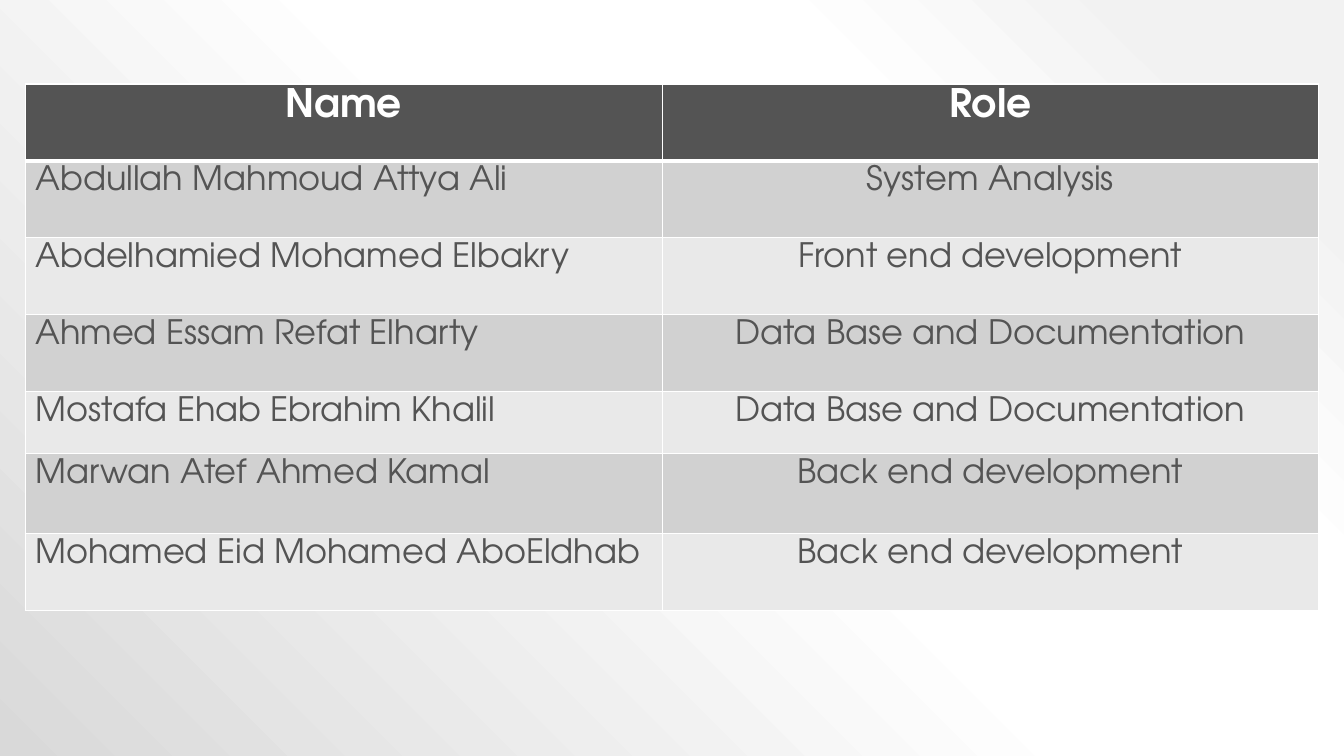
import dataclasses

import lxml.etree
import pptx
import pptx.dml.color
import pptx.enum.text
import pptx.oxml
import pptx.util

Pt = pptx.util.Pt
RGB = pptx.dml.color.RGBColor.from_string
ALIGN = pptx.enum.text.PP_ALIGN
NS = "http://schemas.openxmlformats.org/drawingml/2006/main"


@dataclasses.dataclass(frozen=True)
class Theme:
    font: str = "TeX Gyre Adventor"
    dark: str = "545454"
    light: str = "FFFFFF"
    bands: tuple = ("D1D1D1", "E9E9E9")
    header_size: int = 28
    body_size: int = 24
    thin: int = 1
    thick: int = 3
    backdrop: tuple = ((10, "F2F2F2"), (28, "FFFFFF"), (48, "FFFFFF"), (100, "D9D9D9"))


THEME = Theme()
TEAM = [
    ("Name", "Role"),
    ("Abdullah Mahmoud Attya Ali", "System Analysis"),
    ("Abdelhamied Mohamed Elbakry", "Front end development"),
    ("Ahmed Essam Refat Elharty", "Data Base and Documentation"),
    ("Mostafa Ehab Ebrahim Khalil", "Data Base and Documentation"),
    ("Marwan Atef Ahmed Kamal", "Back end development"),
    ("Mohamed Eid Mohamed AboEldhab", "Back end development"),
]
COLUMN_WIDTHS = (455, 468.8)
ROW_HEIGHTS = (54.9, 54.9, 54.9, 54.9, 44.5, 57, 54.9)


def paint_background(s):
    """Radial gradient centred on the top right corner."""
    fill = s.background.fill
    fill.gradient()
    grad = s._element.find(f".//{{{NS}}}gradFill")
    stops = "".join(
        f'<a:gs pos="{pos * 1000}"><a:srgbClr val="{color}"/></a:gs>'
        for pos, color in THEME.backdrop
    )
    radial = pptx.oxml.parse_xml(
        f'<a:gradFill xmlns:a="{NS}" rotWithShape="1"><a:gsLst>{stops}</a:gsLst>'
        '<a:path path="circle"><a:fillToRect l="100000" b="100000"/></a:path>'
        "</a:gradFill>"
    )
    grad.getparent().replace(grad, radial)


def set_borders(cell, top, bottom):
    tc_pr = cell._tc.get_or_add_tcPr()
    widths = {"lnL": THEME.thin, "lnR": THEME.thin, "lnT": top, "lnB": bottom}
    for side, width in widths.items():
        ln = lxml.etree.SubElement(tc_pr, f"{{{NS}}}{side}", w=str(Pt(width)))
        solid = lxml.etree.SubElement(ln, f"{{{NS}}}solidFill")
        lxml.etree.SubElement(solid, f"{{{NS}}}srgbClr", val=THEME.light)


def fill_cell(cell, text, is_header, color, align):
    cell.fill.solid()
    cell.fill.fore_color.rgb = RGB(color)
    p = cell.text_frame.paragraphs[0]
    p.alignment = align
    r = p.add_run()
    r.text = text
    r.font.color.rgb = RGB(THEME.light if is_header else THEME.dark)
    formats = {
        "name": THEME.font,
        "size": Pt(THEME.header_size if is_header else THEME.body_size),
        "bold": is_header,
    }
    for name, value in formats.items():
        setattr(r.font, name, value)


def add_team_table(s, left, top):
    box = [Pt(v) for v in (left, top, sum(COLUMN_WIDTHS), sum(ROW_HEIGHTS))]
    table = s.shapes.add_table(len(TEAM), len(COLUMN_WIDTHS), *box).table
    for column, width in zip(table.columns, COLUMN_WIDTHS):
        column.width = Pt(width)
    for i, (row, height, texts) in enumerate(zip(table.rows, ROW_HEIGHTS, TEAM)):
        row.height = Pt(height)
        is_header = i == 0
        color = THEME.dark if is_header else THEME.bands[(i - 1) % 2]
        for j, (cell, text) in enumerate(zip(row.cells, texts)):
            set_borders(
                cell,
                top=THEME.thick if i == 1 else THEME.thin,
                bottom=THEME.thick if is_header else THEME.thin,
            )
            align = ALIGN.CENTER if is_header or j else ALIGN.LEFT
            fill_cell(cell, text, is_header, color, align)


def main():
    prs = pptx.Presentation()
    prs.slide_width, prs.slide_height = Pt(960), Pt(540)
    s = prs.slides.add_slide(prs.slide_layouts[6])
    paint_background(s)
    add_team_table(s, left=18, top=60)
    prs.save("out.pptx")


if __name__ == "__main__":
    main()
